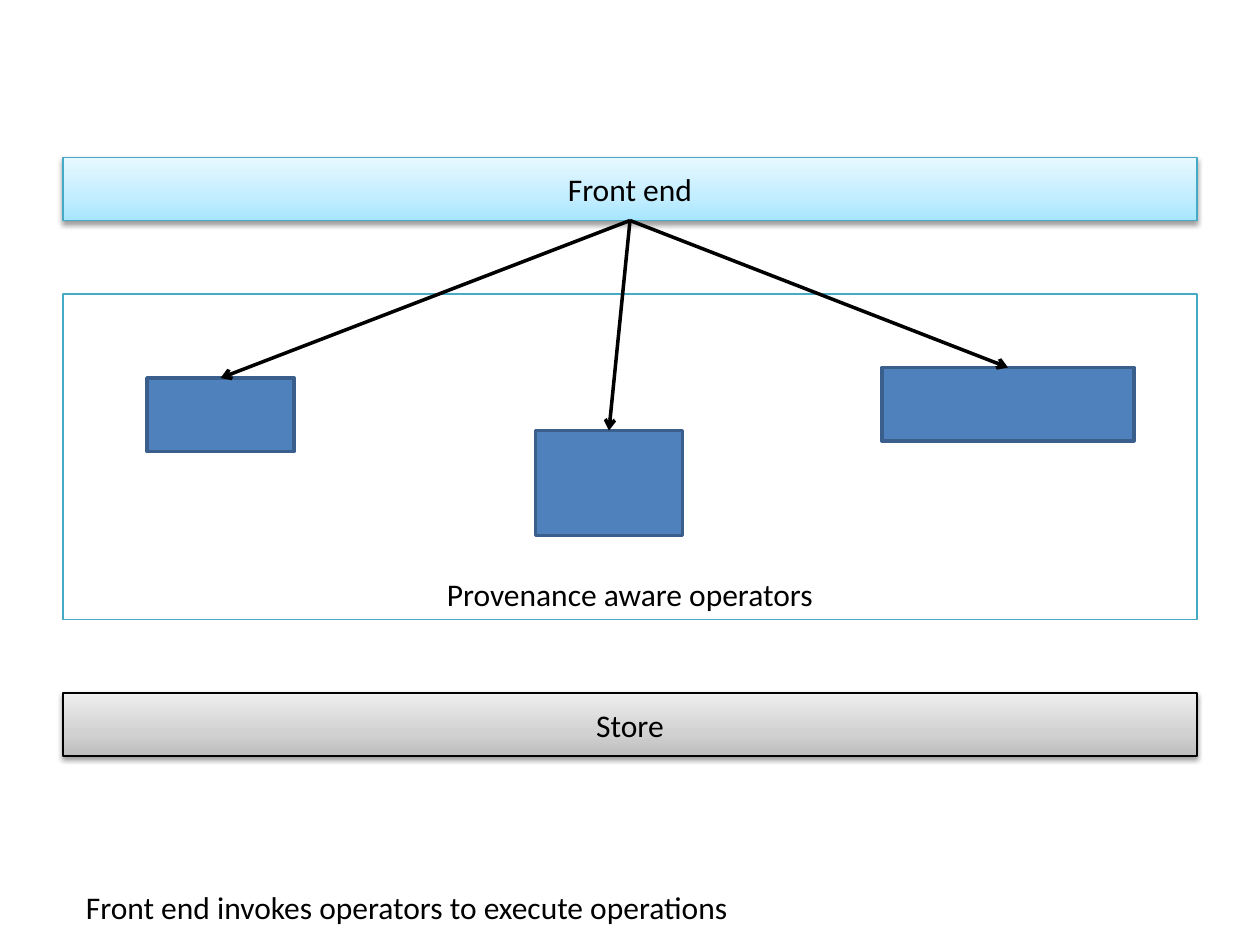
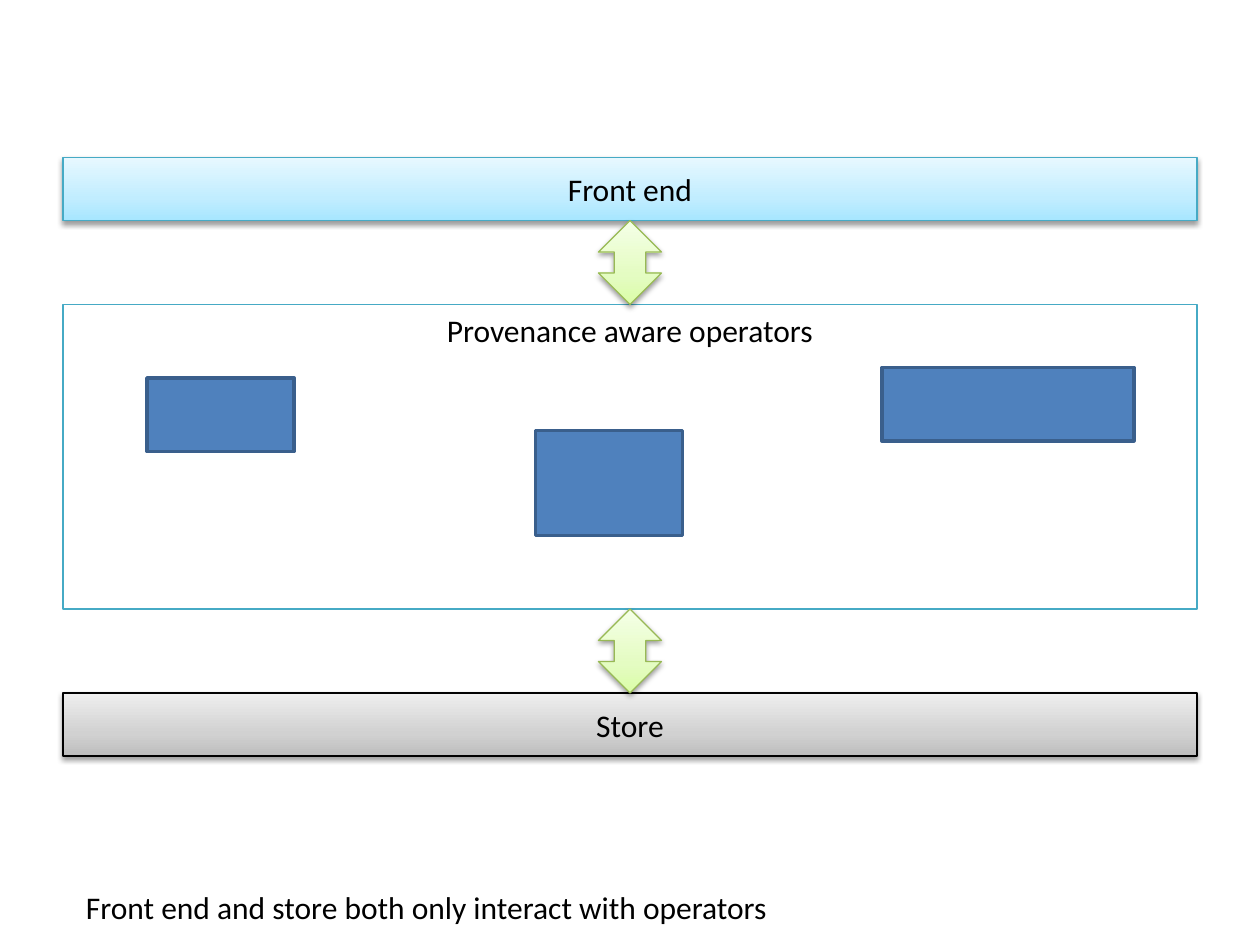
from lxml import etree
from pptx import Presentation
from pptx import util as u
from pptx.dml.color import RGBColor
from pptx.enum import shapes, text
from pptx.oxml.ns import qn

BLACK = RGBColor(0x00, 0x00, 0x00)
TEAL = RGBColor(0x46, 0xAA, 0xC5)
GREEN = RGBColor(0x98, 0xB9, 0x55)
BLUE = RGBColor(0x4F, 0x81, 0xBD)
NAVY = RGBColor(0x3A, 0x5F, 0x8C)

# Gradients run from the bottom (0 %) over 35 % to the top (100 %)
SKY_BLEND = [RGBColor.from_string(c) for c in ("A7E6FF", "C1EDFF", "E7F8FF")]
GREY_BLEND = [RGBColor.from_string(c) for c in ("BDBDBD", "D1D1D1", "EEEEEE")]
LIME_BLEND = [RGBColor.from_string(c) for c in ("DAFDA7", "E4FCC2", "F5FFE7")]

FONT, SIZE = "Calibri", u.Pt(18)
RECT = shapes.MSO_SHAPE.RECTANGLE
ARROW = shapes.MSO_SHAPE.UP_DOWN_ARROW
TOP, MIDDLE, BOTTOM = (text.MSO_ANCHOR.TOP, text.MSO_ANCHOR.MIDDLE,
                       text.MSO_ANCHOR.BOTTOM)

deck = Presentation()
deck.slide_width, deck.slide_height = u.Inches(10), u.Inches(7.5)
CELL = deck.slide_width / 120  # grid of 120 columns by 90 rows

# Areas in grid cells: column, row, columns wide, rows high
FRONT_END = (6, 15, 108, 6)
STORE = (6, 66, 108, 6)
OPERATORS = [(14, 36, 14, 7), (51, 41, 14, 10), (84, 35, 24, 7)]


def write(shape, words, anchor, align):
    frame = shape.text_frame
    frame.vertical_anchor = anchor
    para = frame.paragraphs[0]
    para.text = words
    para.alignment = align
    para.font.name, para.font.size = FONT, SIZE
    para.font.color.rgb = BLACK


def draw(page, kind, area, line, width=0.75, fill=None, blend=None):
    shape = page.shapes.add_shape(kind, *(round(n * CELL) for n in area))
    shape.line.color.rgb = line
    shape.line.width = u.Pt(width)
    shape.shadow.inherit = False
    if fill is not None:
        shape.fill.solid()
        shape.fill.fore_color.rgb = fill
    elif blend is None:
        shape.fill.background()
    else:
        # Three-stop gradient
        shape.fill.gradient()
        gradient = shape._element.spPr.find(qn("a:gradFill"))
        stops = gradient.find(qn("a:gsLst"))
        for stop in list(stops):
            stops.remove(stop)
        for share, color in zip((0, 35, 100), blend):
            stop = etree.SubElement(stops, qn("a:gs"), pos=str(share * 1000))
            etree.SubElement(stop, qn("a:srgbClr"), val=str(color))
        gradient.find(qn("a:lin")).set("ang", str(270 * 60000))
        # Soft shadow straight below
        effects = shape._element.spPr.find(qn("a:effectLst"))
        shadow = etree.SubElement(
            effects, qn("a:outerShdw"), blurRad=str(u.Pt(3.1)),
            dist=str(u.Pt(1.6)), dir=str(90 * 60000), rotWithShape="0")
        tint = etree.SubElement(shadow, qn("a:srgbClr"), val=str(BLACK))
        etree.SubElement(tint, qn("a:alpha"), val="38000")
    return shape


# Per slide: frame row and height, label anchor, caption, caption width
stages = [
    (28, 31, BOTTOM, "Front end invokes operators to execute operations", 64.3),
    (29, 29, TOP, "Front end and store both only interact with operators", 69.5),
]
pages = []
for row, rows, anchor, caption, columns in stages:
    page = deck.slides.add_slide(deck.slide_layouts[6])

    # Layers of the architecture
    front_end = draw(page, RECT, FRONT_END, TEAL, blend=SKY_BLEND)
    write(front_end, "Front end", MIDDLE, text.PP_ALIGN.CENTER)
    frame = draw(page, RECT, (6, row, 108, rows), TEAL)
    write(frame, "Provenance aware operators", anchor, text.PP_ALIGN.CENTER)
    operators = [draw(page, RECT, area, NAVY, 2, fill=BLUE)
                 for area in OPERATORS]
    store = draw(page, RECT, STORE, BLACK, blend=GREY_BLEND)
    write(store, "Store", MIDDLE, text.PP_ALIGN.CENTER)

    # Caption
    box = page.shapes.add_textbox(
        *(round(n * CELL) for n in (7, 84, columns, 4.8)))
    box.text_frame.word_wrap = False
    box.text_frame.auto_size = text.MSO_AUTO_SIZE.SHAPE_TO_FIT_TEXT
    write(box, caption, TOP, text.PP_ALIGN.LEFT)
    pages.append((page, front_end, operators))

# Slide 1: the front end calls each operator
page, front_end, operators = pages[0]
for operator in operators:
    call = page.shapes.add_connector(shapes.MSO_CONNECTOR.STRAIGHT, 0, 0, 0, 0)
    call.begin_connect(front_end, 2)
    call.end_connect(operator, 0)
    call.line.color.rgb = BLACK
    call.line.width = u.Pt(2)
    etree.SubElement(call.line._get_or_add_ln(), qn("a:tailEnd"), type="arrow")
    etree.SubElement(call._element.spPr, qn("a:effectLst"))

# Slide 2: two-way exchange above and below the operators
page = pages[1][0]
for row in (21, 58):
    draw(page, ARROW, (57, row, 6, 8), GREEN, blend=LIME_BLEND)

deck.save("out.pptx")
